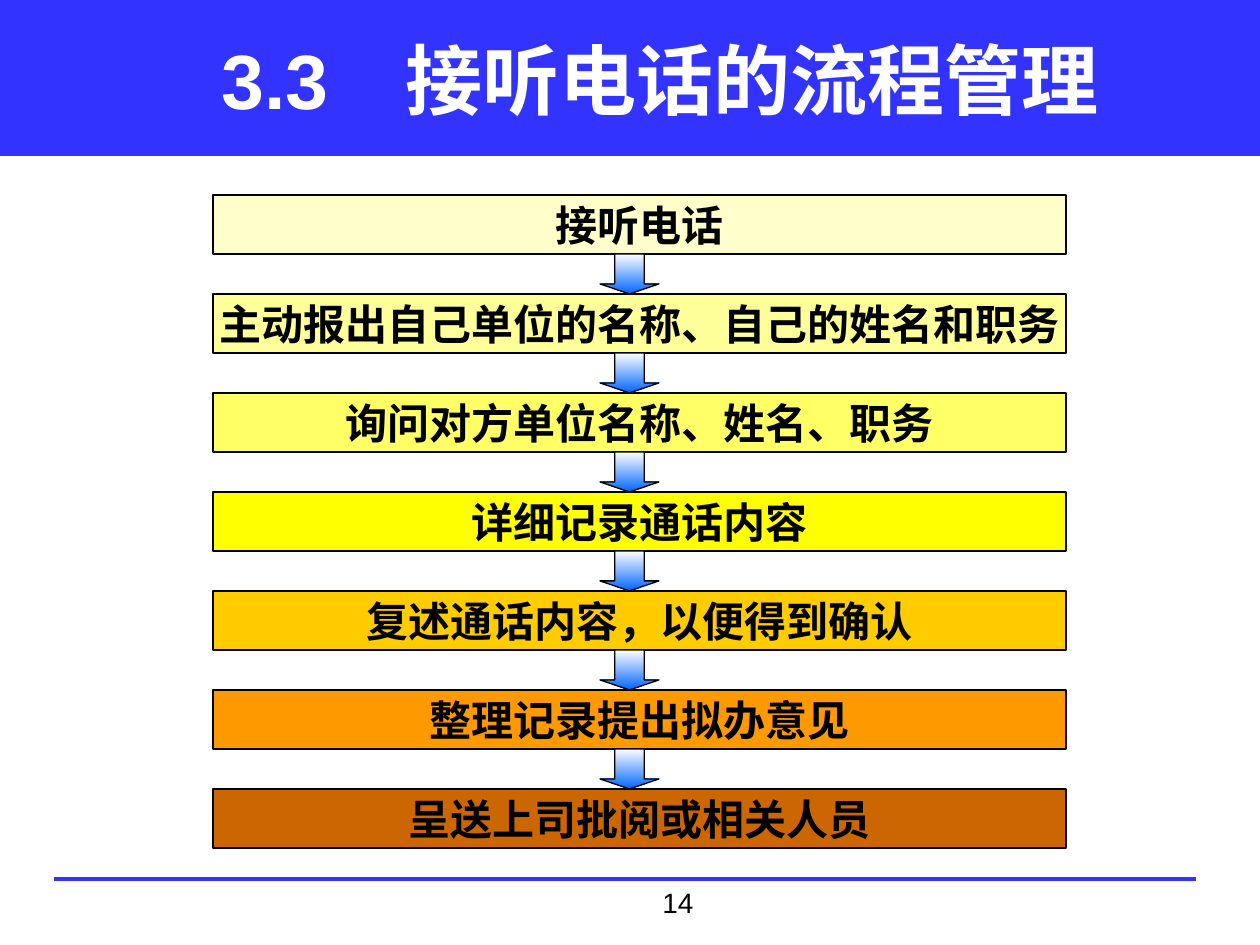
from pptx import Presentation
from pptx.dml.color import RGBColor
from pptx.enum.shapes import MSO_CONNECTOR, MSO_SHAPE
from pptx.enum.text import MSO_ANCHOR, PP_ALIGN
from pptx.oxml.ns import qn
from pptx.util import Pt
from lxml import etree

RECT, ARROW = MSO_SHAPE.RECTANGLE, MSO_SHAPE.DOWN_ARROW
LINE = MSO_CONNECTOR.STRAIGHT
MIDDLE = MSO_ANCHOR.MIDDLE
LEFT, CENTER = PP_ALIGN.LEFT, PP_ALIGN.CENTER

BLACK = RGBColor(0, 0, 0)
WHITE = RGBColor(255, 255, 255)
BLUE = RGBColor(0x33, 0x33, 0xFF)
SKY = RGBColor(0x00, 0x66, 0xFF)

STEPS = [
    ("接听电话", RGBColor(0xFF, 0xFF, 0xCC)),
    ("主动报出自己单位的名称、自己的姓名和职务", RGBColor(0xFF, 0xFF, 0x99)),
    ("询问对方单位名称、姓名、职务", RGBColor(0xFF, 0xFF, 0x66)),
    ("详细记录通话内容", RGBColor(0xFF, 0xFF, 0x00)),
    ("复述通话内容，以便得到确认", RGBColor(0xFF, 0xCC, 0x00)),
    ("整理记录提出拟办意见", RGBColor(0xFF, 0x99, 0x00)),
    ("呈送上司批阅或相关人员", RGBColor(0xCC, 0x66, 0x00)),
]
TOP, PITCH, TALL = 195, 99, 59


def px(*vals):
    """Turn pixels (126 to the inch) into EMU."""
    return [round(v * 914400 / 126) for v in vals]


def write(shape, text, size, color, bold=True, align=CENTER):
    para = shape.text_frame.paragraphs[0]
    para.alignment = align
    run = para.add_run()
    run.text = text
    font = run.font
    font.name, font.size, font.bold = "Arial", Pt(size), bold
    font.color.rgb = color


prs = Presentation()
prs.slide_width, prs.slide_height = px(1260, 945)
slide = prs.slides.add_slide(prs.slide_layouts[5])
shapes = slide.shapes

# Banner, behind the title
band = shapes.add_shape(RECT, *px(0, 0, 1260, 155))
band.shadow.inherit = False
band.fill.solid()
band.fill.fore_color.rgb = BLUE
band.line.color.rgb = BLUE
band.line.width = Pt(0.75)
shapes._spTree.insert(2, band._element)

title = shapes.title
title.left, title.top, title.width, title.height = px(113, 0, 1095, 157)
title.text_frame.vertical_anchor = MIDDLE
write(title, "3.3　接听电话的流程管理", 44, WHITE)

# Footer rule and page number
x1, x2, y = px(54, 1196, 879)
rule = shapes.add_connector(LINE, x1, y, x2, y)
rule.line.color.rgb = BLUE
rule.line.width = Pt(2.25)
etree.SubElement(rule._element.spPr, qn("a:effectLst"))

page = shapes.add_textbox(*px(650, 879, 79, 47))
page.text_frame.word_wrap = True
write(page, "14", 16, BLACK, bold=False, align=LEFT)

# Flow of steps
for i, (text, color) in enumerate(STEPS):
    box = shapes.add_shape(RECT, *px(213, TOP + i * PITCH, 853, TALL))
    box.shadow.inherit = False
    box.fill.solid()
    box.fill.fore_color.rgb = color
    box.line.color.rgb = BLACK
    box.line.width = Pt(0.75)
    box.text_frame.word_wrap = False
    box.text_frame.vertical_anchor = MIDDLE
    write(box, text, 24, BLACK)

# Arrows filling the gaps
for i in range(len(STEPS) - 1):
    y = TOP + i * PITCH + TALL
    arrow = shapes.add_shape(ARROW, *px(600, y, 59, PITCH - TALL))
    arrow.adjustments[0] = 0.5
    arrow.adjustments[1] = 0.25
    arrow.shadow.inherit = False
    arrow.fill.gradient()
    arrow.fill.gradient_angle = 270
    for stop, color, pos in zip(arrow.fill.gradient_stops, (WHITE, SKY), (0, 1)):
        stop.color.rgb = color
        stop.position = pos
    arrow.line.color.rgb = BLACK
    arrow.line.width = Pt(0.75)

prs.save("out.pptx")
